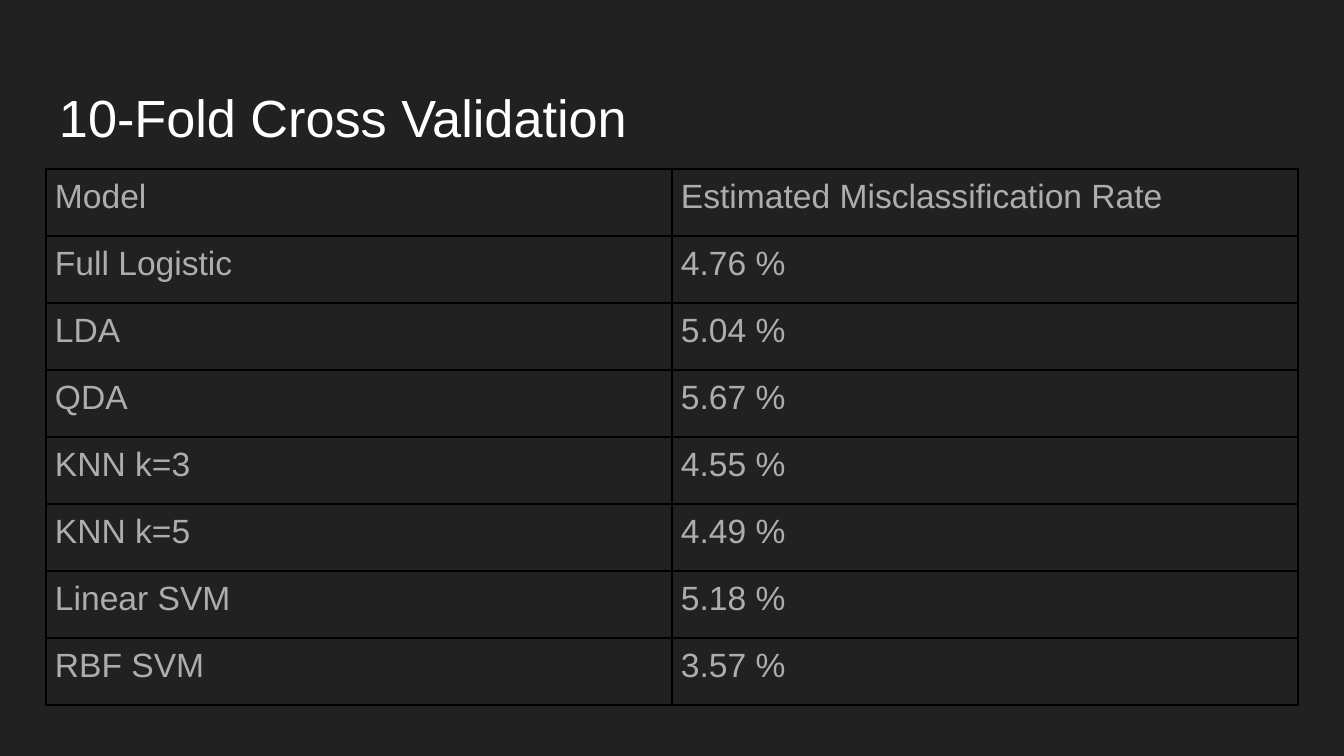
from dataclasses import dataclass

from lxml import etree
from pptx import Presentation
from pptx import util as u
from pptx.dml.color import RGBColor
from pptx.enum import text
from pptx.oxml import ns

EMU_PER_PX = 914400 / 134.4


@dataclass(frozen=True)
class Theme:
    font: str = "Arial"
    background: str = "212121"
    title: str = "FFFFFF"
    body: str = "ADADAD"
    border: str = "000000"
    title_size: int = 28
    body_size: int = 18
    border_width: int = 1


@dataclass(frozen=True)
class ModelRate:
    model: str
    rate: str


THEME = Theme()
LEFT, WIDTH = 46, 1252
ROW_HEIGHT = 67
RATES = [
    ModelRate("Model", "Estimated Misclassification Rate"),
    ModelRate("Full Logistic", "4.76 %"),
    ModelRate("LDA", "5.04 %"),
    ModelRate("QDA", "5.67 %"),
    ModelRate("KNN k=3", "4.55 %"),
    ModelRate("KNN k=5", "4.49 %"),
    ModelRate("Linear SVM", "5.18 %"),
    ModelRate("RBF SVM", "3.57 %"),
]


def px(length: int) -> u.Emu:
    return u.Emu(round(length * EMU_PER_PX))


def apply_format(target, values: dict) -> None:
    for name, value in values.items():
        setattr(target, name, value)


def margins(left: int, top: int, right: int, bottom: int) -> dict:
    return {
        "margin_left": px(left),
        "margin_top": px(top),
        "margin_right": px(right),
        "margin_bottom": px(bottom),
    }


def write_text(para, words: str, size: int, color: str) -> None:
    span = para.add_run()
    span.text = words
    apply_format(span.font, {"name": THEME.font, "size": u.Pt(size), "bold": False})
    span.font.color.rgb = RGBColor.from_string(color)


def draw_title(page, words: str) -> None:
    box = page.shapes.add_textbox(px(LEFT), px(66), px(WIDTH), px(84))
    frame = box.text_frame
    apply_format(frame, {
        "word_wrap": True,
        "auto_size": text.MSO_AUTO_SIZE.NONE,
        "vertical_anchor": text.MSO_ANCHOR.TOP,
        **margins(13, 19, 13, 5),
    })
    write_text(frame.paragraphs[0], words, THEME.title_size, THEME.title)


def draw_borders(cell) -> None:
    properties = cell._tc.get_or_add_tcPr()
    for position, side in enumerate(("lnL", "lnR", "lnT", "lnB")):
        line = etree.Element(ns.qn(f"a:{side}"), w=str(u.Pt(THEME.border_width)))
        fill = etree.SubElement(line, ns.qn("a:solidFill"))
        etree.SubElement(fill, ns.qn("a:srgbClr"), val=THEME.border)
        properties.insert(position, line)


def draw_cell(cell, words: str) -> None:
    apply_format(cell, {
        "vertical_anchor": text.MSO_ANCHOR.TOP,
        **margins(9, 9, 9, 9),
    })
    cell.fill.background()
    draw_borders(cell)
    write_text(cell.text_frame.paragraphs[0], words, THEME.body_size, THEME.body)


def draw_rates(page, rates: list[ModelRate]) -> None:
    frame = page.shapes.add_table(
        len(rates), 2, px(LEFT), px(169), px(WIDTH), px(ROW_HEIGHT * len(rates))
    )
    table = frame.table
    apply_format(table, {"first_row": False, "horz_banding": False})
    for column in table.columns:
        column.width = px(WIDTH // 2)
    for row, entry in zip(table.rows, rates):
        row.height = px(ROW_HEIGHT)
        for cell, words in zip(row.cells, (entry.model, entry.rate)):
            draw_cell(cell, words)


def main() -> None:
    deck = Presentation()
    apply_format(deck, {"slide_width": px(1344), "slide_height": px(756)})
    page = deck.slides.add_slide(deck.slide_layouts[6])
    fill = page.background.fill
    fill.solid()
    fill.fore_color.rgb = RGBColor.from_string(THEME.background)
    draw_title(page, "10-Fold Cross Validation")
    draw_rates(page, RATES)
    deck.save("out.pptx")


if __name__ == "__main__":
    main()
